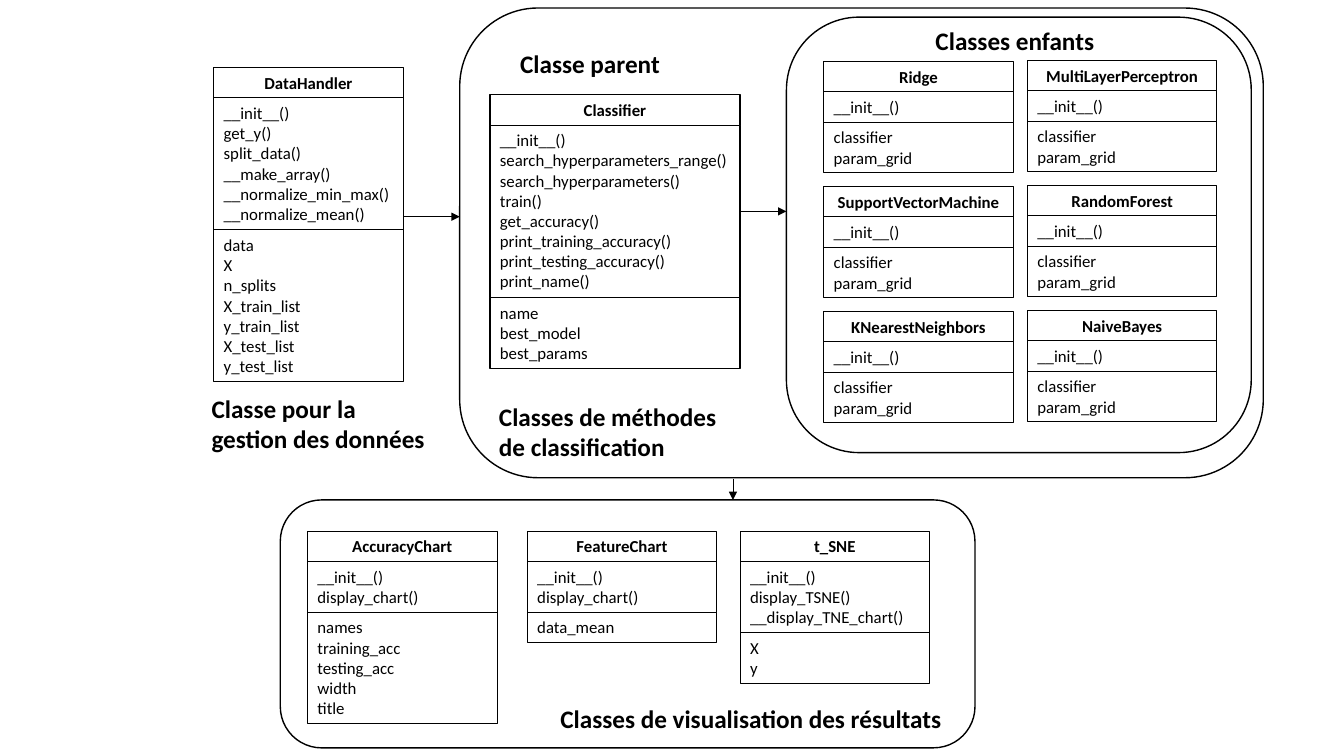
from dataclasses import dataclass

from lxml.etree import SubElement
from pptx import Presentation
from pptx.dml.color import RGBColor
from pptx.enum.shapes import MSO_CONNECTOR as Connector, MSO_SHAPE as Shape
from pptx.enum.text import MSO_ANCHOR as Anchor, MSO_AUTO_SIZE as AutoSize, PP_ALIGN as Align
from pptx.oxml.ns import qn
from pptx.util import Inches, Pt


@dataclass(frozen=True)
class Theme:
    font: str = "Calibri"
    ink: RGBColor = RGBColor(0, 0, 0)
    member_size: Pt = Pt(12)
    caption_size: Pt = Pt(18)
    box_line: Pt = Pt(0.75)
    frame_line: Pt = Pt(1)
    arrow_line: Pt = Pt(0.5)
    row_height: Pt = Pt(14.5)
    padding: Inches = Inches(0.1)


class Diagram:
    def __init__(self, slide, theme):
        self.slide = slide
        self.theme = theme

    def set_text(self, shape, lines, size, bold=False, align=Align.LEFT):
        frame = shape.text_frame
        frame.text = "\n".join(lines)
        frame.word_wrap = True
        frame.auto_size = AutoSize.SHAPE_TO_FIT_TEXT
        frame.vertical_anchor = Anchor.TOP
        for paragraph in frame.paragraphs:
            paragraph.alignment = align
            paragraph.font.name = self.theme.font
            paragraph.font.size = size
            paragraph.font.bold = bold
            paragraph.font.color.rgb = self.theme.ink

    def outline(self, shape, width):
        shape.shadow.inherit = False
        shape.fill.background()
        shape.line.color.rgb = self.theme.ink
        shape.line.width = width

    def class_box(self, left, top, width, name, methods, attributes):
        group = self.slide.shapes.add_group_shape()
        y = Inches(top)
        sections = []
        for lines in ([name], methods, attributes):
            height = self.theme.padding + len(lines) * self.theme.row_height
            section = group.shapes.add_shape(
                Shape.RECTANGLE, Inches(left), y, Inches(width), height)
            self.outline(section, self.theme.box_line)
            is_title = not sections
            self.set_text(section, lines, self.theme.member_size, is_title,
                          Align.CENTER if is_title else Align.LEFT)
            sections.append(section)
            y += height
        return sections

    def frame(self, left, top, width, height):
        shape = self.slide.shapes.add_shape(
            Shape.ROUNDED_RECTANGLE, Inches(left), Inches(top), Inches(width), Inches(height))
        self.outline(shape, self.theme.frame_line)

    def caption(self, left, top, width, height, *lines):
        box = self.slide.shapes.add_textbox(
            Inches(left), Inches(top), Inches(width), Inches(height))
        self.set_text(box, lines, self.theme.caption_size, bold=True)

    def arrow(self, x1, y1, x2, y2):
        connector = self.slide.shapes.add_connector(
            Connector.STRAIGHT, Inches(x1), Inches(y1), Inches(x2), Inches(y2))
        connector.line.color.rgb = self.theme.ink
        connector.line.width = self.theme.arrow_line
        properties = connector._element.spPr
        SubElement(properties.get_or_add_ln(), qn("a:tailEnd"), type="triangle")
        SubElement(properties, qn("a:effectLst"))
        return connector


CHILDREN = [
    ("Ridge", "MultiLayerPerceptron"),
    ("SupportVectorMachine", "RandomForest"),
    ("KNearestNeighbors", "NaiveBayes"),
]
CHARTS = [
    (3.05, "AccuracyChart", ["__init__()", "display_chart()"],
     ["names", "training_acc", "testing_acc", "width", "title"]),
    (5.23, "FeatureChart", ["__init__()", "display_chart()"], ["data_mean"]),
    (7.34, "t_SNE", ["__init__()", "display_TSNE()", "__display_TNE_chart()"], ["X", "y"]),
]


def main():
    deck = Presentation()
    deck.slide_width, deck.slide_height = Inches(13.33), Inches(7.5)
    diagram = Diagram(deck.slides.add_slide(deck.slide_layouts[6]), Theme())

    diagram.class_box(
        2.12, 0.67, 1.88, "DataHandler",
        ["__init__()", "get_y()", "split_data()", "__make_array()",
         "__normalize_min_max()", "__normalize_mean()"],
        ["data", "X", "n_splits", "X_train_list", "y_train_list",
         "X_test_list", "y_test_list"])
    _, classifier_methods, _ = diagram.class_box(
        4.86, 0.94, 2.48, "Classifier",
        ["__init__()", "search_hyperparameters_range()", "search_hyperparameters()",
         "train()", "get_accuracy()", "print_training_accuracy()",
         "print_testing_accuracy()", "print_name()"],
        ["name", "best_model", "best_params"])
    for row, pair in enumerate(CHILDREN):
        for column, name in enumerate(pair):
            diagram.class_box(8.17 + 2.02 * column, 0.61 + 1.24 * row - 0.01 * column, 1.88,
                              name, ["__init__()"], ["classifier", "param_grid"])
    for left, name, methods, attributes in CHARTS:
        diagram.class_box(left, 5.27, 1.88, name, methods, attributes)

    diagram.frame(7.8, 0.17, 4.61, 4.32)
    diagram.frame(4.56, 0.08, 7.97, 4.66)
    diagram.frame(2.78, 4.96, 6.89, 2.46)

    diagram.caption(5.46, 6.93, 4.27, 0.4, "Classes de visualisation des résultats")
    diagram.caption(4.85, 3.93, 2.42, 0.71, "Classes de méthodes", "de classification")
    diagram.caption(5.06, 0.43, 1.68, 0.4, "Classe parent")
    diagram.caption(9.18, 0.2, 1.89, 0.4, "Classes enfants")
    diagram.caption(2, 3.85, 2.37, 0.71, "Classe pour la gestion des données")

    diagram.arrow(4, 2.15, 4.56, 2.15)
    to_children = diagram.arrow(7.34, 2.1, 7.8, 2.1)
    to_children.begin_connect(classifier_methods, 3)
    to_children.end_y = to_children.begin_y
    diagram.arrow(7.27, 4.75, 7.27, 4.96)

    deck.save("out.pptx")


if __name__ == "__main__":
    main()
